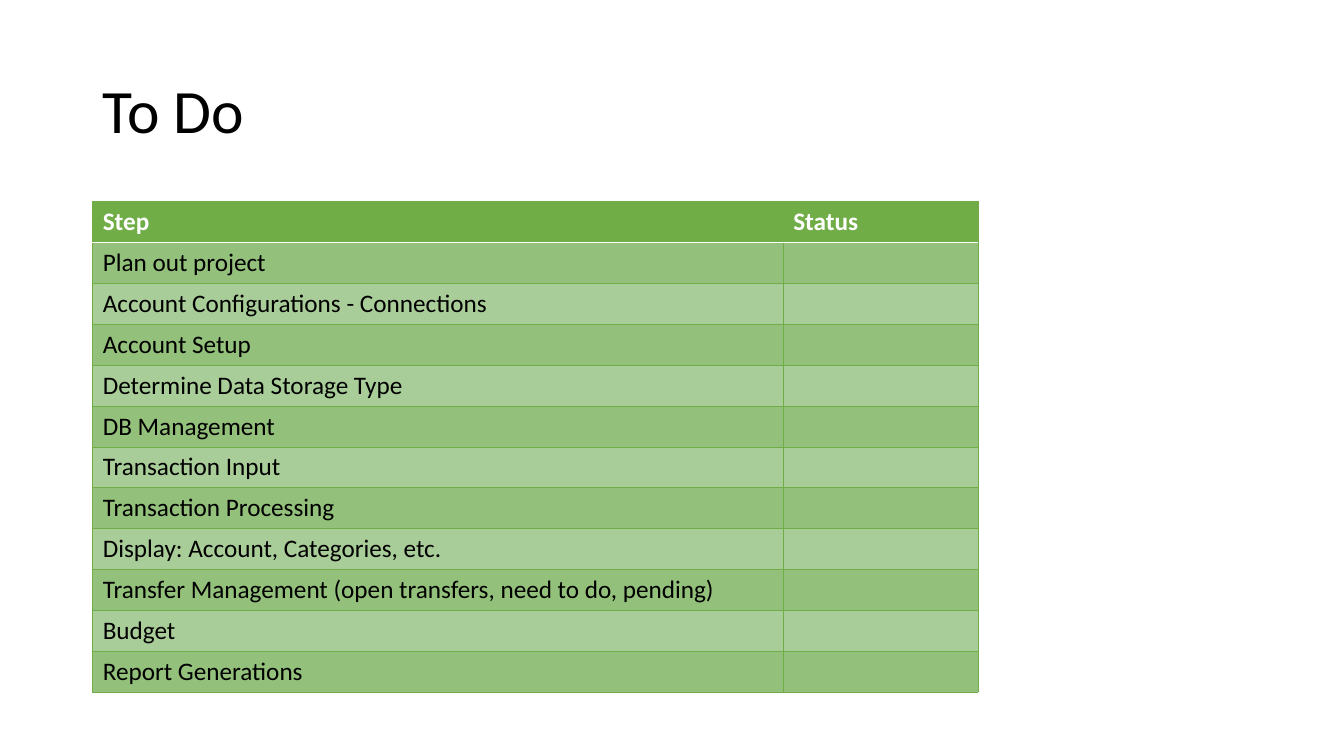
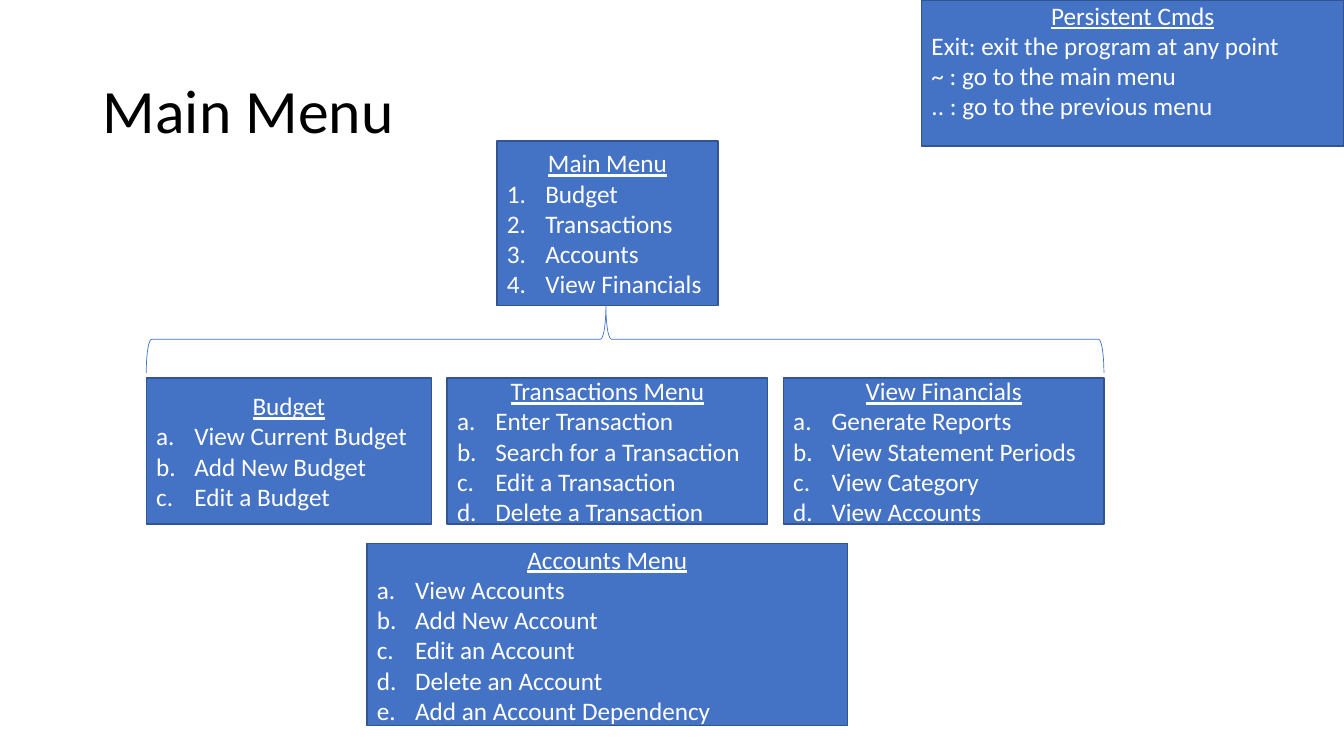
from lxml import etree
from pptx import Presentation
from pptx.dml.color import RGBColor
from pptx.enum.shapes import MSO_SHAPE
from pptx.enum.text import MSO_ANCHOR, PP_ALIGN
from pptx.oxml.ns import qn
from pptx.util import Emu, Inches, Pt

RECTANGLE = MSO_SHAPE.RECTANGLE
RIGHT_BRACE = MSO_SHAPE.RIGHT_BRACE
MIDDLE, TOP = MSO_ANCHOR.MIDDLE, MSO_ANCHOR.TOP
LEFT, CENTER = PP_ALIGN.LEFT, PP_ALIGN.CENTER

SLIDE_W, SLIDE_H = Inches(13.33), Inches(7.5)
FONT = "Calibri"
TITLE_SIZE, BODY_SIZE = 44, 18
TITLE_ONLY = 5
NUMBERS, LETTERS = "arabicPeriod", "alphaLcPeriod"
LIST_INDENT = Inches(0.38)

COLORS = {
    "text": "000000",
    "light": "FFFFFF",
    "table": "70AD47",
    "odd_row": "93C07A",
    "even_row": "A9CD98",
    "menu": "4472C4",
    "menu_edge": "325491",
}

MARGIN = 6.9
MENU_LEFT, MENU_RIGHT = 10.88, 82.14
MENU_TOP, MENU_HEIGHT = 50, 19.33
BRACE_TOP, BRACE_HEIGHT = 40.4, 8.93

STEPS = [
    "Plan out project",
    "Account Configurations - Connections",
    "Account Setup",
    "Determine Data Storage Type",
    "DB Management",
    "Transaction Input",
    "Transaction Processing",
    "Display: Account, Categories, etc.",
    "Transfer Management (open transfers, need to do, pending)",
    "Budget",
    "Report Generations",
]

MAIN_ITEMS = ["Budget", "Transactions", "Accounts", "View Financials"]
SUBMENUS = [
    ("Budget", 21.23, ["View Current Budget", "Add New Budget", "Edit a Budget"]),
    ("Transactions Menu", 23.86, [
        "Enter Transaction", "Search for a Transaction",
        "Edit a Transaction", "Delete a Transaction"]),
    ("View Financials", 23.86, [
        "Generate Reports", "View Statement Periods",
        "View Category", "View Accounts"]),
]
ACCOUNT_ITEMS = ["View Accounts", "Add New Account", "Edit an Account",
                 "Delete an Account", "Add an Account Dependency"]
COMMANDS = ["Exit: exit the program at any point",
            "~ : go to the main menu",
            ".. : go to the previous menu"]


def color(name):
    return RGBColor.from_string(COLORS[name])


def box(left, top, width, height):
    return (Emu(int(SLIDE_W * left / 100)), Emu(int(SLIDE_H * top / 100)),
            Emu(int(SLIDE_W * width / 100)), Emu(int(SLIDE_H * height / 100)))


def style_runs(paragraph, size, color_name, bold=False, underline=False):
    for run in paragraph.runs:
        font = run.font
        font.name, font.size = FONT, Pt(size)
        font.bold, font.underline = bold, underline
        font.color.rgb = color(color_name)


def add_titled_slide(prs, heading):
    slide = prs.slides.add_slide(prs.slide_layouts[TITLE_ONLY])
    title = slide.shapes.title
    title.left, title.top, title.width, title.height = box(MARGIN, 5.33, 86.27, 19.33)
    frame = title.text_frame
    frame.text = heading
    frame.vertical_anchor = MIDDLE
    paragraph = frame.paragraphs[0]
    paragraph.alignment, paragraph.line_spacing = LEFT, 0.9
    style_runs(paragraph, TITLE_SIZE, "text")
    return slide


def add_border(cell, side, color_name, points):
    line = etree.SubElement(cell._tc.get_or_add_tcPr(), qn(f"a:ln{side}"), w=str(Pt(points)))
    fill = etree.SubElement(line, qn("a:solidFill"))
    etree.SubElement(fill, qn("a:srgbClr"), val=COLORS[color_name])


def style_cell(cell, row):
    header_edge = {0: "B", 1: "T"}.get(row)
    for side in "LRTB":
        if side == header_edge:
            add_border(cell, side, "light", 1)
        else:
            add_border(cell, side, "table", 0.5)
    header = row == 0
    cell.fill.solid()
    cell.fill.fore_color.rgb = color(
        "table" if header else "odd_row" if row % 2 else "even_row")
    style_runs(cell.text_frame.paragraphs[0], BODY_SIZE,
               "light" if header else "text", bold=header)


def add_step_table(slide):
    rows = [("Step", "Status")] + [(step, "") for step in STEPS]
    left, top, width, height = box(MARGIN, 26.67, 65.87, 64.93)
    table = slide.shapes.add_table(len(rows), 2, left, top, width, height).table
    for column, share in zip(table.columns, (0.78, 0.22)):
        column.width = Emu(int(width * share))
    for r, texts in enumerate(rows):
        table.rows[r].height = Emu(height // len(rows))
        for c, text in enumerate(texts):
            cell = table.cell(r, c)
            cell.text_frame.text = text
            style_cell(cell, r)


def number_paragraph(paragraph, scheme):
    properties = paragraph._p.get_or_add_pPr()
    properties.set("marL", str(LIST_INDENT))
    properties.set("indent", str(-LIST_INDENT))
    etree.SubElement(properties, qn("a:buFont"), typeface="+mj-lt")
    etree.SubElement(properties, qn("a:buAutoNum"), type=scheme)


def add_menu(slide, area, heading, items, scheme=None, anchor=MIDDLE):
    menu = slide.shapes.add_shape(RECTANGLE, *box(*area))
    menu.shadow.inherit = False
    menu.fill.solid()
    menu.fill.fore_color.rgb = color("menu")
    menu.line.color.rgb = color("menu_edge")
    menu.line.width = Pt(1)
    frame = menu.text_frame
    frame.word_wrap = True
    frame.vertical_anchor = anchor
    if anchor == TOP:
        frame.margin_top = 0
    frame.text = "\n".join([heading, *items])
    for i, paragraph in enumerate(frame.paragraphs):
        is_heading = i == 0
        paragraph.alignment = CENTER if is_heading else LEFT
        style_runs(paragraph, BODY_SIZE, "light", underline=is_heading)
        if scheme and not is_heading:
            number_paragraph(paragraph, scheme)


def add_submenus(slide):
    free = MENU_RIGHT - MENU_LEFT - sum(width for _, width, _ in SUBMENUS)
    gap = free / (len(SUBMENUS) - 1)
    left = MENU_LEFT
    for heading, width, items in SUBMENUS:
        add_menu(slide, (left, MENU_TOP, width, MENU_HEIGHT), heading, items, LETTERS)
        left += width + gap


def add_brace(slide):
    left, top, span, depth = box(MENU_LEFT, BRACE_TOP, MENU_RIGHT - MENU_LEFT, BRACE_HEIGHT)
    shift = (span - depth) // 2
    brace = slide.shapes.add_shape(
        RIGHT_BRACE, Emu(left + shift), Emu(top - shift), depth, span)
    brace.rotation = 270
    brace.adjustments[0], brace.adjustments[1] = 0.08, 0.48
    brace.shadow.inherit = False
    brace.fill.background()
    brace.line.color.rgb = color("menu")
    brace.line.width = Pt(0.5)


def main():
    prs = Presentation()
    prs.slide_width, prs.slide_height = SLIDE_W, SLIDE_H

    add_step_table(add_titled_slide(prs, "To Do"))

    menus = add_titled_slide(prs, "Main Menu")
    add_menu(menus, (36.98, 18.67, 16.43, 21.73), "Main Menu", MAIN_ITEMS, NUMBERS)
    add_submenus(menus)
    add_menu(menus, (27.3, 71.87, 35.78, 24.13), "Accounts Menu", ACCOUNT_ITEMS, LETTERS)
    add_brace(menus)
    add_menu(menus, (68.57, 0, 31.43, MENU_HEIGHT), "Persistent Cmds", COMMANDS, anchor=TOP)

    prs.save("out.pptx")


if __name__ == "__main__":
    main()
